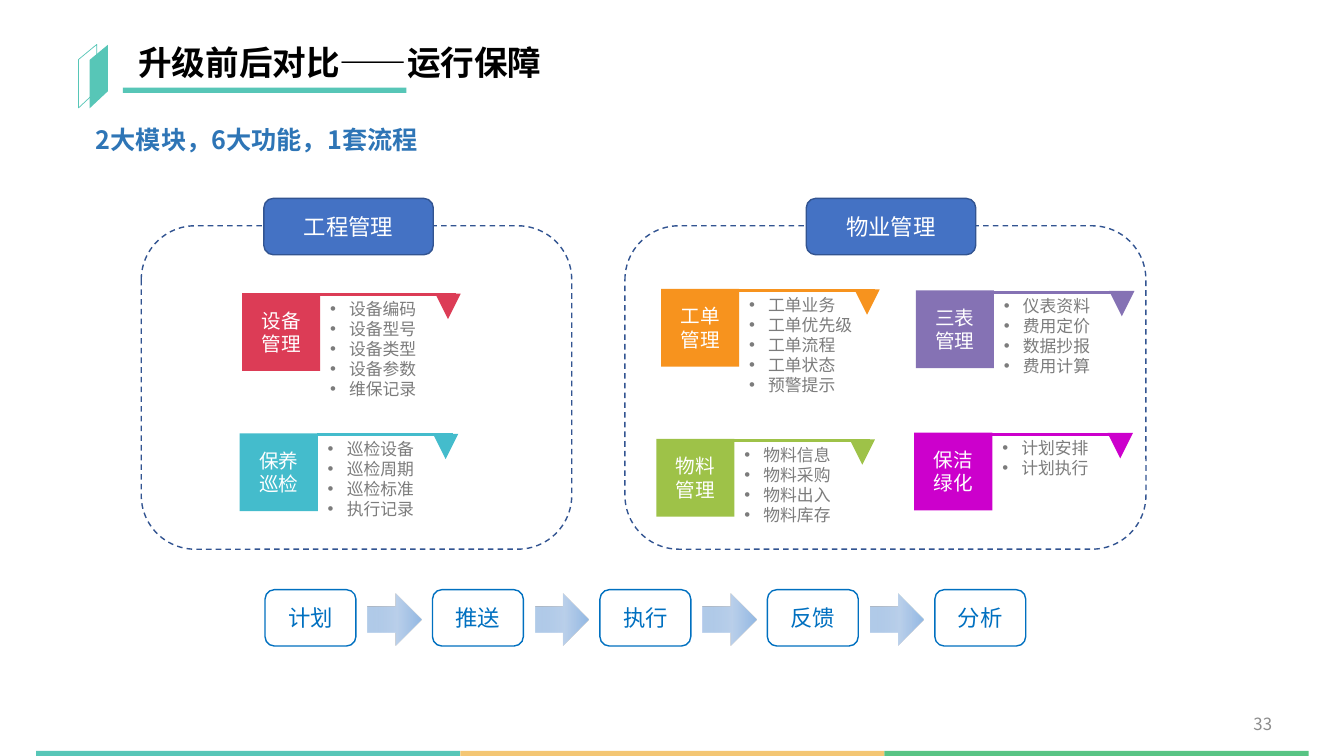
from lxml import etree
from pptx import Presentation
from pptx.dml.color import RGBColor
from pptx.enum.dml import MSO_LINE
from pptx.enum.shapes import MSO_CONNECTOR, MSO_SHAPE
from pptx.enum.text import MSO_ANCHOR, MSO_AUTO_SIZE, PP_ALIGN
from pptx.oxml import parse_xml
from pptx.oxml.ns import nsdecls, qn
from pptx.util import Cm, Pt

RECTANGLE, ROUNDED = MSO_SHAPE.RECTANGLE, MSO_SHAPE.ROUNDED_RECTANGLE
TRIANGLE, ARROW = MSO_SHAPE.ISOSCELES_TRIANGLE, MSO_SHAPE.RIGHT_ARROW
LEFT, CENTER, RIGHT = PP_ALIGN.LEFT, PP_ALIGN.CENTER, PP_ALIGN.RIGHT
TOP, MIDDLE = MSO_ANCHOR.TOP, MSO_ANCHOR.MIDDLE
FONT = "Noto Sans CJK SC"
LINE_FACTOR = 1.19

COLORS = {
    "teal": "57C6B7", "sand": "F4C673", "green": "58C484", "black": "000000",
    "white": "FFFFFF", "subtitle": "2E75B6", "page": "8C8C8C", "list": "7C7C7C",
    "heading": "4472C4", "outline": "325491", "flow": "0070C0",
    "red": "DC3C56", "cyan": "44BCCC", "orange": "F7931E",
    "lime": "9EC248", "purple": "8572B4", "magenta": "CC00CC",
}
# Text formats: size, colour, bold, alignment, anchor
FORMATS = {
    "title": (24, "black", True, LEFT, MIDDLE),
    "subtitle": (18, "subtitle", True, LEFT, TOP),
    "page": (12, "page", False, RIGHT, MIDDLE),
    "heading": (16, "white", False, CENTER, MIDDLE),
    "card": (14, "white", False, CENTER, MIDDLE),
    "list": (12, "list", False, LEFT, TOP),
    "flow": (16, "flow", False, CENTER, MIDDLE),
}
# Panels: heading, heading left, panel left, panel width
PANELS = [("工程管理", 6.65, 3.56, 10.85), ("物业管理", 20.32, 15.75, 13.13)]
# Cards: name, colour, left, top, functions
CARDS = [
    ("设备管理", "red", 6.1, 7.39,
     ["设备编码", "设备型号", "设备类型", "设备参数", "维保记录"]),
    ("保养巡检", "cyan", 6.04, 10.92,
     ["巡检设备", "巡检周期", "巡检标准", "执行记录"]),
    ("工单管理", "orange", 16.66, 7.28,
     ["工单业务", "工单优先级", "工单流程", "工单状态", "预警提示"]),
    ("物料管理", "lime", 16.54, 11.06,
     ["物料信息", "物料采购", "物料出入", "物料库存"]),
    ("三表管理", "purple", 23.08, 7.32,
     ["仪表资料", "费用定价", "数据抄报", "费用计算"]),
    ("保洁绿化", "magenta", 23.04, 10.9, ["计划安排", "计划执行"]),
]
STEPS = ["计划", "推送", "执行", "反馈", "分析"]


def color(name):
    return RGBColor.from_string(COLORS[name])


def write(shape, lines, format_name, bullet=False):
    size, color_name, bold, alignment, anchor = FORMATS[format_name]
    frame = shape.text_frame
    frame_values = {"word_wrap": True, "auto_size": MSO_AUTO_SIZE.NONE,
                    "vertical_anchor": anchor}
    paragraph_values = {"alignment": alignment, "space_before": Pt(0),
                        "line_spacing": Pt(round(size * LINE_FACTOR, 1))}
    font_values = {"name": FONT, "size": Pt(size), "bold": bold}
    for name, value in frame_values.items():
        setattr(frame, name, value)
    for index, line in enumerate(lines):
        paragraph = frame.add_paragraph() if index else frame.paragraphs[0]
        properties = paragraph._p.get_or_add_pPr()
        properties.set("marL", str(Cm(0.48) if bullet else 0))
        properties.set("indent", str(-Cm(0.48) if bullet else 0))
        if bullet:
            etree.SubElement(properties, qn("a:buFont"), typeface="Arial")
            etree.SubElement(properties, qn("a:buChar"), char="•")
        else:
            etree.SubElement(properties, qn("a:buNone"))
        for name, value in paragraph_values.items():
            setattr(paragraph, name, value)
        run = paragraph.add_run()
        run.text = line
        for name, value in font_values.items():
            setattr(run.font, name, value)
        run.font.color.rgb = color(color_name)
        etree.SubElement(run._r.get_or_add_rPr(), qn("a:ea"), typeface=FONT)


def paint(shape, fill=None, line=None, width=1):
    shape.shadow.inherit = False
    if fill:
        shape.fill.solid()
        shape.fill.fore_color.rgb = color(fill)
    else:
        shape.fill.background()
    if line:
        shape.line.color.rgb = color(line)
        shape.line.width = Pt(width)
    else:
        shape.line.fill.background()


def add_box(slide, kind, box, fill=None, line=None):
    shape = slide.shapes.add_shape(kind, *map(Cm, box))
    paint(shape, fill, line)
    return shape


def add_text(slide, box, lines, format_name, bullet=False):
    write(slide.shapes.add_textbox(*map(Cm, box)), lines, format_name, bullet)


def fill_placeholder(placeholder, box, text, format_name):
    for name, value in zip(("left", "top", "width", "height"), box):
        setattr(placeholder, name, Cm(value))
    write(placeholder, [text], format_name)


def add_emblem_leaf(slide, left, top, fill=None, line=None):
    points = [(0, 1.6), (0, 0.38), (0.46, 0), (0.46, 1.17)]
    corners = [(Cm(left + x), Cm(top + y)) for x, y in points]
    builder = slide.shapes.build_freeform(*corners[0])
    builder.add_line_segments(corners[1:], close=True)
    paint(builder.convert_to_shape(), fill, line, 0.5)


def add_panel(slide, heading, heading_left, left, width):
    panel = add_box(slide, ROUNDED, (left, 5.69, width, 8.15), line="outline")
    panel.line.dash_style = MSO_LINE.DASH
    label = add_box(slide, ROUNDED, (heading_left, 5, 4.27, 1.42),
                    "heading", "outline")
    write(label, [heading], "heading")


def add_card(slide, name, color_name, left, top, functions):
    tile = add_box(slide, RECTANGLE, (left, top, 1.97, 1.96), color_name)
    write(tile, [name], "card")
    tile.text_frame.margin_left = tile.text_frame.margin_right = Cm(0.3)
    rule = slide.shapes.add_connector(
        MSO_CONNECTOR.STRAIGHT, Cm(left + 1.95), Cm(top + 0.04),
        Cm(left + 5.38), Cm(top + 0.04))
    rule.line.color.rgb = color(color_name)
    rule.line.width = Pt(2.25)
    etree.SubElement(rule._element.spPr, qn("a:effectLst"))
    flag = add_box(slide, TRIANGLE, (left + 4.87, top + 0.01, 0.64, 0.64),
                   color_name)
    flag.rotation = 180
    height = 0.25 + 0.51 * len(functions)
    add_text(slide, (left + 1.97, top + 0.02, 3.4, height), functions,
             "list", bullet=True)


def add_flow_arrow(slide, left):
    arrow = add_box(slide, ARROW, (left, 14.96, 1.35, 1.3))
    gradient = parse_xml(
        f'<a:gradFill {nsdecls("a")} rotWithShape="1"><a:gsLst>'
        '<a:gs pos="9000"><a:srgbClr val="B1CBE9"/></a:gs>'
        '<a:gs pos="55000"><a:srgbClr val="99B9E1">'
        '<a:alpha val="67000"/></a:srgbClr></a:gs>'
        '<a:gs pos="100000"><a:srgbClr val="93B9E4"/></a:gs>'
        '</a:gsLst><a:lin ang="0" scaled="0"/></a:gradFill>')
    properties = arrow._element.spPr
    properties.replace(properties.find(qn("a:noFill")), gradient)


def add_flow(slide):
    for index, step in enumerate(STEPS):
        left = 6.68 + 4.22 * index
        box = add_box(slide, ROUNDED, (left, 14.86, 2.29, 1.42), line="flow")
        write(box, [step], "flow")
        if index < len(STEPS) - 1:
            add_flow_arrow(slide, left + 2.59)


def main():
    presentation = Presentation()
    presentation.slide_width, presentation.slide_height = Cm(33.87), Cm(19.05)
    slide = presentation.slides.add_slide(presentation.slide_layouts[1])

    # Title and subtitle
    title, subtitle = slide.placeholders
    fill_placeholder(title, (3.23, 0.48, 17.55, 2.16),
                     "升级前后对比——运行保障", "title")
    fill_placeholder(subtitle, (2.16, 3.02, 8.76, 1.02),
                     "2大模块，6大功能，1套流程", "subtitle")
    add_emblem_leaf(slide, 1.98, 1.12, line="teal")
    add_emblem_leaf(slide, 2.26, 1.13, fill="teal")
    add_box(slide, RECTANGLE, (3.1, 2.21, 7.14, 0.13), "teal")

    # Modules and their functions
    for panel in PANELS:
        add_panel(slide, *panel)
    for card in CARDS:
        add_card(slide, *card)

    # Process
    add_flow(slide)

    # Footer
    for index, name in enumerate(("teal", "sand", "green")):
        add_box(slide, RECTANGLE, (0.91 + 10.69 * index, 18.92, 10.69, 0.13), name)
    add_text(slide, (24.41, 17.78, 7.9, 0.94), ["33"], "page")

    presentation.save("out.pptx")


if __name__ == "__main__":
    main()
